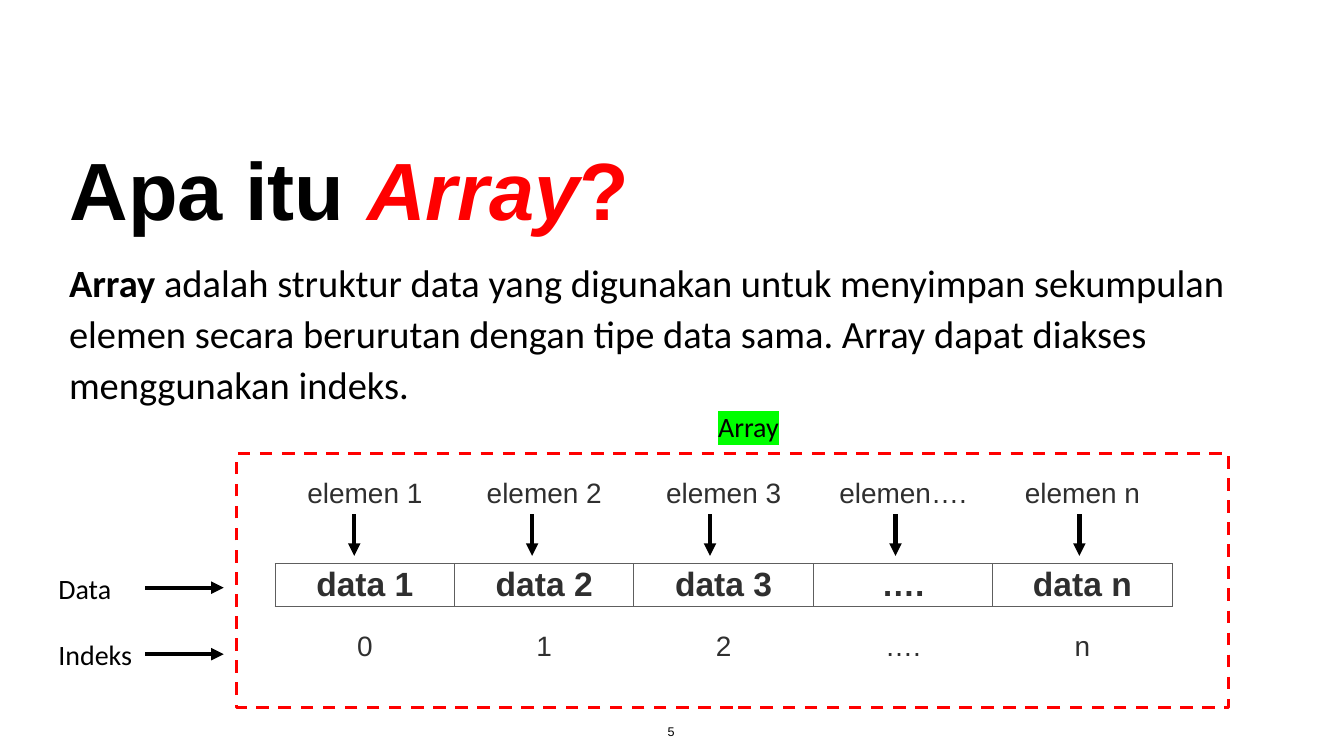
from lxml import etree
from pptx import Presentation
from pptx import util as u
from pptx.dml.color import RGBColor
from pptx.enum import dml, shapes, text
from pptx.oxml import ns

COLORS = {"black": "000000", "red": "FF0000", "green": "00FF00",
          "cell": "2F2F2F", "border": "5E5E5E"}
LEFT, CENTER = text.PP_ALIGN.LEFT, text.PP_ALIGN.CENTER
TOP, BOTTOM = text.MSO_ANCHOR.TOP, text.MSO_ANCHOR.BOTTOM


def color(name):
    """Return the named colour."""
    return RGBColor.from_string(COLORS[name])


def inches(*values):
    """Convert several lengths to Inches."""
    return [u.Inches(value) for value in values]


def child(parent, tag, **attributes):
    """Append a drawing element to an XML parent."""
    return etree.SubElement(parent, ns.qn(tag), **attributes)


def style(span, size, font, ink="black", bold=False, italic=False):
    """Format one run."""
    span.font.size = u.Pt(size)
    span.font.bold, span.font.italic = bold, italic
    span.font.color.rgb = color(ink)
    span.font.name = font


def fill_text(frame, spans, size, font, spacing=1.0, align=LEFT, anchor=TOP):
    """Write (text, format) spans as one paragraph and return it."""
    frame.margin_left = frame.margin_right = u.Inches(0.06)
    frame.margin_top = frame.margin_bottom = u.Inches(0.06)
    frame.word_wrap, frame.vertical_anchor = True, anchor
    frame.auto_size = text.MSO_AUTO_SIZE.NONE
    para = frame.paragraphs[0]
    para.alignment, para.line_spacing = align, spacing
    for words, look in spans:
        span = para.add_run()
        span.text = words
        style(span, size, font, **look)
    return para


def add_title(page, place, spans):
    """Place and format the title placeholder."""
    title = page.shapes.title
    title.left, title.top, title.width, title.height = inches(*place)
    fill_text(title.text_frame, spans, 116, "Arial", 0.8, anchor=BOTTOM)


def add_text(page, place, spans, size=40, font="Calibri", spacing=1.1, **layout):
    """Add a text box and return its paragraph."""
    box = page.shapes.add_textbox(*inches(*place))
    return fill_text(box.text_frame, spans, size, font, spacing, **layout)


def highlight(span, name):
    """Mark a run with a background colour."""
    mark = etree.Element(ns.qn("a:highlight"))
    child(mark, "a:srgbClr", val=COLORS[name])
    span.font._element.find(ns.qn("a:solidFill")).addnext(mark)


def add_borders(cell):
    """Draw a thin line on every side of a cell."""
    properties = cell._tc.get_or_add_tcPr()
    for index, side in enumerate(("a:lnL", "a:lnR", "a:lnT", "a:lnB")):
        line = etree.Element(ns.qn(side), w=str(u.Pt(1.5)))
        child(child(line, "a:solidFill"), "a:srgbClr", val=COLORS["border"])
        properties.insert(index, line)


def add_row(page, top, labels, size=40, bold=False, bordered=False):
    """Add a one-row table of centred labels."""
    place = inches(5.46, top, 3.56 * len(labels), 0.41)
    table = page.shapes.add_table(1, len(labels), *place).table
    table.first_row = table.horz_banding = False
    for cell, label in zip(table.rows[0].cells, labels):
        cell.fill.background()
        cell.text_frame.text = label
        para = cell.text_frame.paragraphs[0]
        para.alignment = CENTER
        style(para.runs[0], size, "Arial", "cell", bold)
        if bordered:
            add_borders(cell)


def add_frame(page, place):
    """Add the dashed outline around the array."""
    frame = page.shapes.add_shape(shapes.MSO_SHAPE.RECTANGLE, *inches(*place))
    frame.shadow.inherit = False
    frame.fill.background()
    frame.line.color.rgb = color("red")
    frame.line.width = u.Pt(4.5)
    frame.line.dash_style = dml.MSO_LINE.DASH


def add_arrow(page, *ends):
    """Add a straight arrow between two points."""
    arrow = page.shapes.add_connector(shapes.MSO_CONNECTOR.STRAIGHT, *inches(*ends))
    arrow.line.color.rgb = color("black")
    arrow.line.width = u.Pt(6)
    child(arrow.line._get_or_add_ln(), "a:tailEnd", type="triangle")
    child(arrow._element.spPr, "a:effectLst")


def main():
    """Build the slide that explains an array."""
    deck = Presentation()
    deck.slide_width, deck.slide_height = inches(26.67, 15)
    page = deck.slides.add_slide(deck.slide_layouts[5])

    add_title(page, (1.32, 2.82, 24.03, 1.92), [
        ("Apa itu ", {"bold": True}),
        ("Array", {"ink": "red", "bold": True, "italic": True}),
        ("?", {"ink": "red", "bold": True})])
    add_text(page, (1.31, 4.99, 24.03, 3.21), [
        ("Array", {"bold": True}),
        (" adalah struktur data yang digunakan untuk menyimpan sekumpulan "
         "elemen secara berurutan dengan tipe data sama. Array dapat diakses "
         "menggunakan indeks.", {})], 55)

    add_row(page, 9.44, ["elemen 1", "elemen 2", "elemen 3", "elemen….", "elemen n"])
    add_row(page, 11.18, ["data 1", "data 2", "data 3", "….", "data n"],
            48, bold=True, bordered=True)
    add_row(page, 12.47, ["0", "1", "2", "….", "n"])

    add_frame(page, (4.7, 8.99, 19.68, 5.04))
    caption = add_text(page, (14.19, 8, 3.13, 0.9), [("Array", {})])
    highlight(caption.runs[0], "green")

    for label, top in (("Data", 11.21), ("Indeks", 12.53)):
        add_text(page, (1.1, top, 3.13, 0.9), [(label, {})])
        add_arrow(page, 2.88, top + 0.45, 4.44, top + 0.45)
    for x in (7.03, 10.56, 14.09, 17.77, 21.42):
        add_arrow(page, x, 10.2, x, 11.03)

    add_text(page, (13.19, 14.31, 0.26, 0.41), [("5", {})], 18, "Arial", 1.0,
             align=CENTER, anchor=BOTTOM)
    deck.save("out.pptx")


if __name__ == "__main__":
    main()
